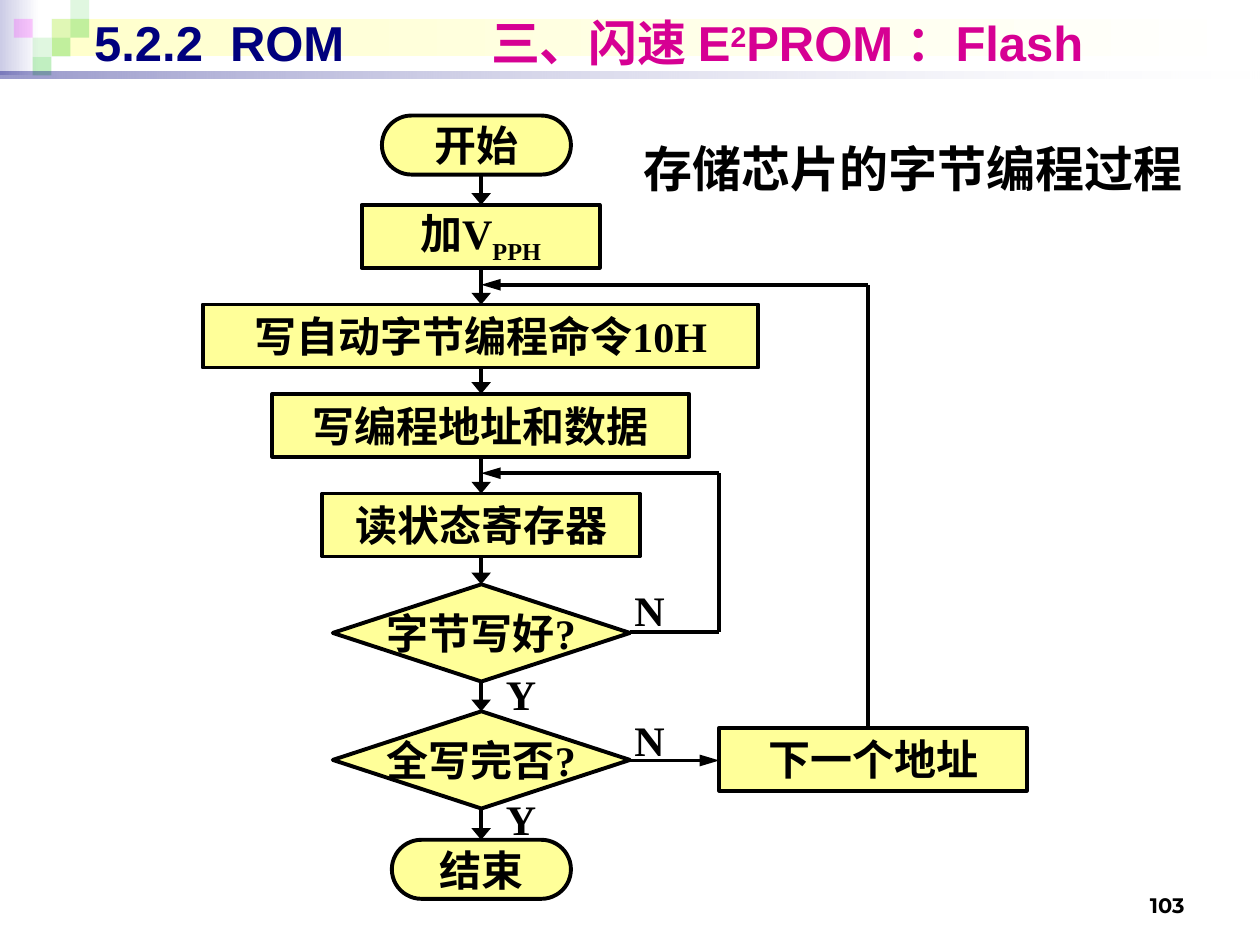
from itertools import pairwise
from lxml.etree import SubElement as Sub
from pptx import Presentation
from pptx.dml.color import RGBColor
from pptx.enum.shapes import MSO_CONNECTOR as Link, MSO_SHAPE as Kind
from pptx.enum.text import MSO_ANCHOR as Anchor, PP_ALIGN as Align
from pptx.oxml.ns import qn
from pptx.util import Cm, Pt

INK, NAVY, ROSE, CREAM = "000000", "00007D", "D60093", "FFFF99"
GREEN, PINK, WHITE = "33CC33", "FF00FF", "FFFFFF"
SERIF = "Times New Roman"


def tint(code):
    return RGBColor.from_string(code)


def write(frame, runs, size=24, name=SERIF, align=Align.CENTER,
          anchor=Anchor.TOP, wrap=True, tabs=()):
    frame.word_wrap = wrap
    frame.vertical_anchor = anchor
    para = frame.paragraphs[0]
    para.alignment = align
    if tabs:
        stops = Sub(para._p.get_or_add_pPr(), qn("a:tabLst"))
        for stop in tabs:
            Sub(stops, qn("a:tab"), pos=str(Cm(stop)), algn="l")
    para.font.size = Pt(size)
    para.font.name = name
    para.font.bold = True
    for text, code, base in runs:
        run = para.add_run()
        run.text = text
        run.font.color.rgb = tint(code)
        if base:
            run.font._element.set("baseline", str(base * 1000))


def label(slide, box, runs, **style):
    area = slide.shapes.add_textbox(*map(Cm, box))
    write(area.text_frame, runs, **style)


def block(slide, kind, box, codes, clear=()):
    shape = slide.shapes.add_shape(kind, *map(Cm, box))
    shape.shadow.inherit = False
    shape.line.fill.background()
    if len(codes) == 1:
        shape.fill.solid()
        shape.fill.fore_color.rgb = tint(codes[0])
    else:
        shape.fill.gradient()
        shape.fill.gradient_angle = 0
        for stop, code, spot in zip(shape.fill.gradient_stops, codes, (0, 1)):
            stop.color.rgb = tint(code)
            stop.position = spot
    fills = shape._element.spPr.iter(qn("a:srgbClr"))
    for node, share in zip(list(fills), clear):
        Sub(node, qn("a:alpha"), val=str(share * 1000))
    return shape


def line(slide, start, end, arrow=True):
    link = slide.shapes.add_connector(Link.STRAIGHT, *map(Cm, start + end))
    link.line.color.rgb = tint(INK)
    link.line.width = Pt(2.25)
    if arrow:
        wide, long = ("lg", "med") if start[0] == end[0] else ("med", "lg")
        Sub(link.line._get_or_add_ln(), qn("a:tailEnd"), type="triangle",
            w=wide, len=long)
    Sub(link._element.spPr, qn("a:effectLst"))


def banner(slide, x, y):
    block(slide, Kind.RECTANGLE, (x, y, 0.79, 1.52), ("CCCCE6", WHITE))
    block(slide, Kind.RECTANGLE, (x + 1.04, y + 0.38, 24.26, 0.76),
          ("FFFFCC", WHITE))
    side = 0.38
    tiles = [(2, 1, GREEN, 15), (3, 0, GREEN, 15), (3, 1, GREEN, 30),
             (1, 2, GREEN, 15), (0, 1, PINK, 20), (2, 2, GREEN, 30),
             (1, 3, GREEN, 30)]
    for col, row, code, share in tiles:
        box = (x + 0.28 + col * side, y + row * side, side, side)
        block(slide, Kind.RECTANGLE, box, (code,), (share,))
    block(slide, Kind.RECTANGLE, (x, y + 1.45, 25.4, 0.13),
          (NAVY, WHITE), (40, 10))
    runs = [("5.2.2\tROM\t", NAVY, 0), ("三、闪速 E", ROSE, 0),
            ("2", ROSE, 30), ("PROM ：Flash", ROSE, 0)]
    label(slide, (x + 1.65, y + 0.13, 22.86, 1.45), runs, size=28,
          name="Arial", align=Align.LEFT, anchor=Anchor.MIDDLE,
          tabs=(2.74, 8))


def flow(slide, x, y):
    rect, gate, pill = (Kind.RECTANGLE, Kind.FLOWCHART_DECISION,
                        Kind.ROUNDED_RECTANGLE)
    high = {rect: 1.27, gate: 1.96, pill: 1.19}
    steps = [(pill, "开始", 3.61, 0, 3.81),
             (rect, "加V", 3.2, 1.8, 4.8),
             (rect, "写自动字节编程命令10H", 0, 3.81, 11.2),
             (rect, "写编程地址和数据", 1.4, 5.61, 8.4),
             (rect, "读状态寄存器", 2.41, 7.62, 6.4),
             (gate, "字节写好?", 2.62, 9.45, 5.99),
             (gate, "全写完否?", 2.62, 12.01, 5.99),
             (pill, "结束", 3.81, 14.6, 3.61)]
    side = (rect, "下一个地址", 10.41, 12.34, 6.2)

    def join(*spots, arrow=True):
        ends = [(x + left, y + top) for left, top in spots]
        for num, (start, end) in enumerate(pairwise(ends), 2):
            line(slide, start, end, arrow and num == len(ends))

    axis, edge, near, far = 5.61, 8.61, 10.41, 13.41
    for prior, after in pairwise(steps):
        join((axis, prior[3] + high[prior[0]]), (axis, after[3]))
    join((edge, 10.41), (near, 10.41), (near, 7.21), (axis, 7.21))
    join((far, 12.42), (far, 3.41), (axis, 3.41))
    join((edge, 13), (near, 13))

    for kind, text, left, top, wide in steps + [side]:
        box = (x + left, y + top, wide, high[kind])
        shape = block(slide, kind, box, (CREAM,))
        shape.line.color.rgb = tint(INK)
        shape.line.width = Pt(2.25)
        if kind == pill:
            shape.adjustments[0] = 0.5
        runs = [(text, INK, 0)]
        if text == "加V":
            runs.append(("PPH", INK, -25))
        write(shape.text_frame, runs, anchor=Anchor.MIDDLE, wrap=kind == rect)

    marks = [("N", 8.41, 9.32), ("N", 8.41, 11.94),
             ("Y", 5.82, 11.02), ("Y", 5.82, 13.54)]
    for text, left, top in marks:
        label(slide, (x + left, y + top, 1.19, 1.27), [(text, INK, 0)])


def main():
    deck = Presentation()
    deck.slide_width, deck.slide_height = Cm(25.4), Cm(19.05)
    slide = deck.slides.add_slide(deck.slide_layouts[6])
    banner(slide, 0, 0)
    label(slide, (18.21, 17.73, 5.92, 0.89), [("103", INK, 0)], size=12,
          name="Montserrat", align=Align.RIGHT, anchor=Anchor.BOTTOM)
    label(slide, (12.5, 2.67, 11.81, 1.45),
          [("存储芯片的字节编程过程", INK, 0)], size=28)
    flow(slide, 4.09, 2.33)
    deck.save("out.pptx")


if __name__ == "__main__":
    main()
